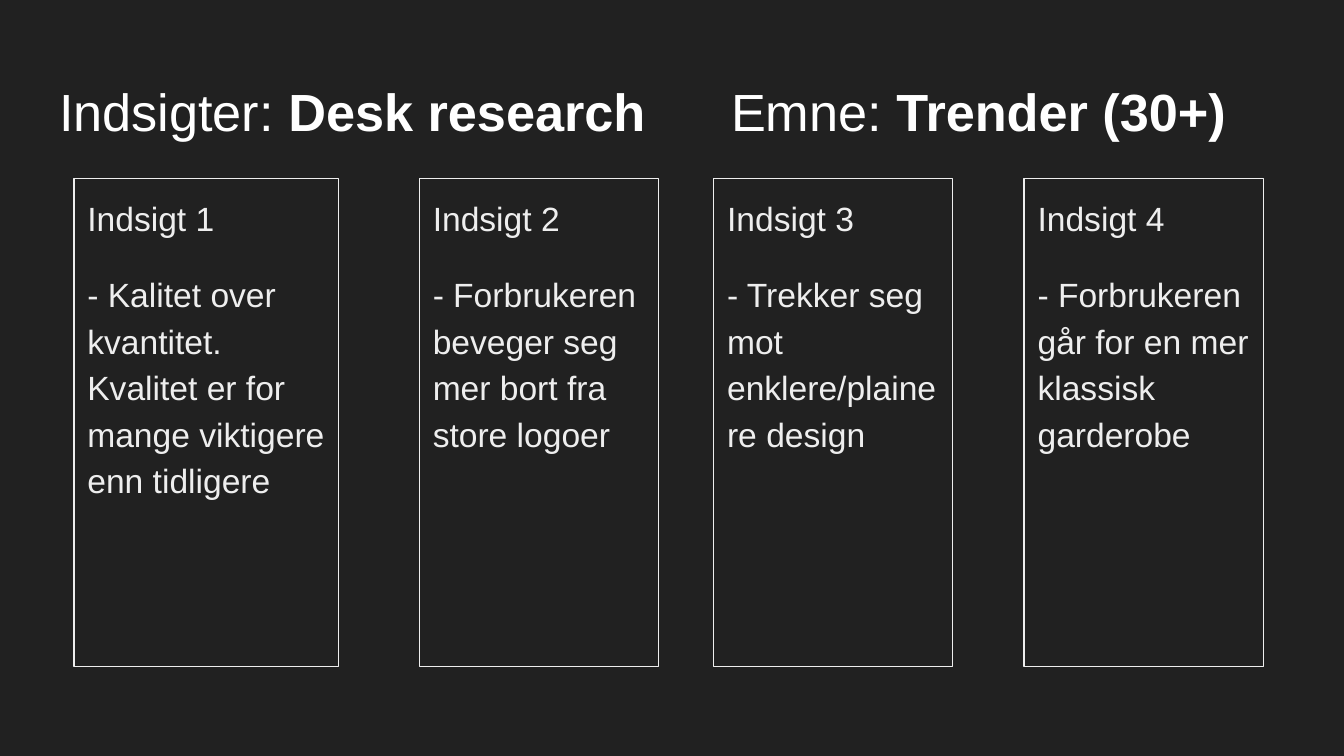
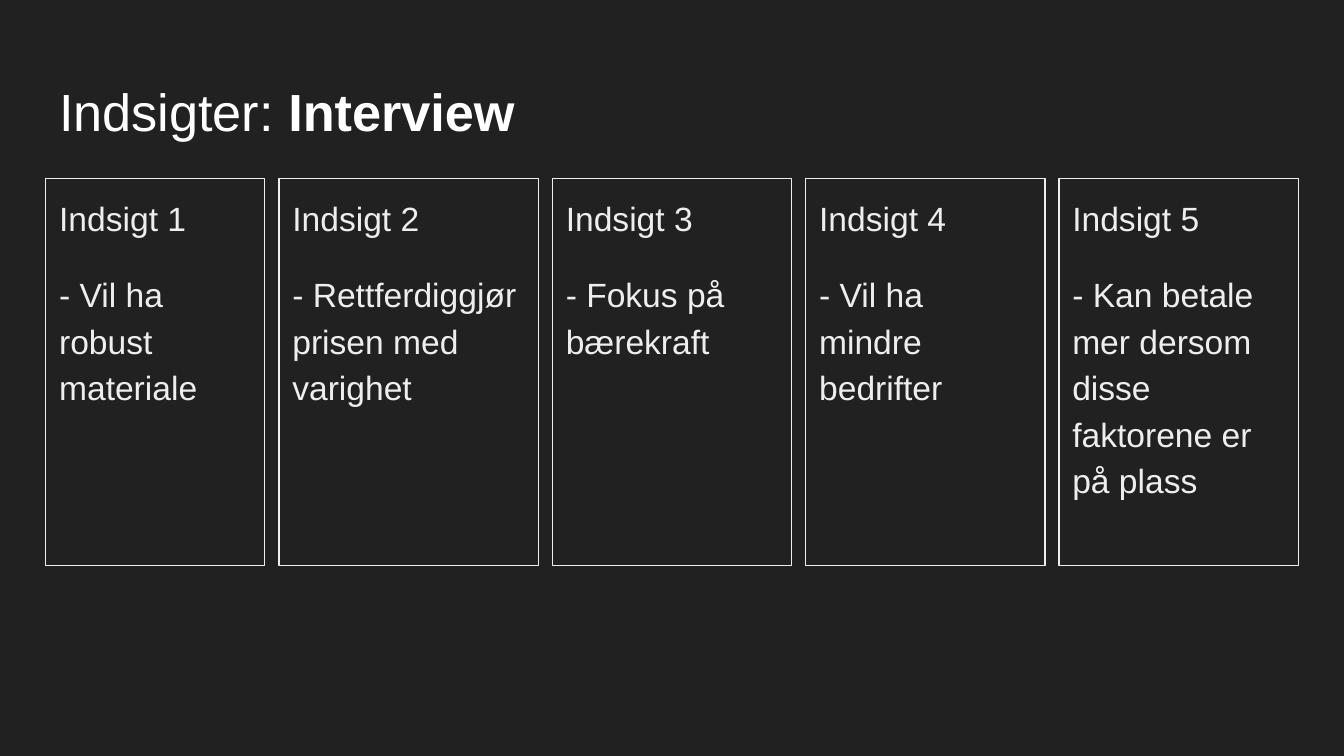
import pptx
import pptx.dml.color
import pptx.enum.text
import pptx.oxml.ns
import pptx.util
from lxml import etree

Inches, Pt = pptx.util.Inches, pptx.util.Pt

COLORS = {"background": "212121", "title": "FFFFFF", "body": "EEEEEE"}
FONT = "Arial"
SLIDE_WIDTH = 10
SLIDE_HEIGHT = SLIDE_WIDTH * 9 / 16
MARGIN, CONTENT_WIDTH = 0.34, 9.32
TITLE_TOP, TITLE_HEIGHT, TITLE_TAB = 0.49, 0.63, 5
CARD_TOP = 1.33
COMPARISON_LAYOUT = 4  # title and four body placeholders

TITLE_FONT = {"name": FONT, "size": Pt(28)}
CARD_FONT = {"name": FONT, "size": Pt(18), "bold": False}
FRAME_FORMAT = {
    "word_wrap": True,
    "auto_size": pptx.enum.text.MSO_AUTO_SIZE.NONE,
    "vertical_anchor": pptx.enum.text.MSO_ANCHOR.TOP,
    "margin_left": Inches(0.1),
    "margin_right": Inches(0.1),
    "margin_top": Inches(0.1),
    "margin_bottom": Inches(0.1),
}
CARD_SPACING = {"line_spacing": 1.15, "space_before": Pt(0), "space_after": Pt(16)}
LEFT_ALIGNED = {"alignment": pptx.enum.text.PP_ALIGN.LEFT}

# Title parts are (text, bold); cards without "lefts" are spread evenly.
SLIDES = [
    {
        "title": [("Indsigter:", False), (" Desk research\t", True),
                  ("Emne:", False), (" Trender (30+)", True)],
        "insights": [
            "Kalitet over kvantitet. Kvalitet er for mange viktigere enn tidligere",
            "Forbrukeren beveger seg mer bort fra store logoer",
            "Trekker seg mot enklere/plainere design",
            "Forbrukeren går for en mer klassisk garderobe",
        ],
        "lefts": [0.55, 3.12, 5.31, 7.62],
        "widths": [1.97, 1.78, 1.78, 1.78],
        "height": 3.63,
    },
    {
        "title": [("Indsigter:", False), (" Interview", True)],
        "insights": [
            "Vil ha robust materiale",
            "Rettferdiggjør prisen med varighet",
            "Fokus på bærekraft",
            "Vil ha mindre bedrifter",
            "Kan betale mer dersom disse faktorene er på plass",
        ],
        "widths": [1.63, 1.93, 1.78, 1.78, 1.78],
        "height": 2.88,
    },
]


def rgb(role):
    """Return the colour that has the given role."""
    return pptx.dml.color.RGBColor.from_string(COLORS[role])


def apply(target, values):
    """Set every attribute in values on the target."""
    for attribute, value in values.items():
        setattr(target, attribute, value)


def place(shape, left, top, width, height):
    """Move and size a shape, in inches."""
    apply(shape, {"left": Inches(left), "top": Inches(top),
                  "width": Inches(width), "height": Inches(height)})


def spread(widths):
    """Return left edges that fill the content width with equal gaps."""
    gap = (CONTENT_WIDTH - sum(widths)) / (len(widths) - 1)
    return [MARGIN + sum(widths[:i]) + gap * i for i in range(len(widths))]


def add_run(paragraph, text, font_format, role):
    """Add a formatted run to a paragraph."""
    run = paragraph.add_run()
    run.text = text
    apply(run.font, font_format)
    run.font.color.rgb = rgb(role)


def fill_title(title, parts):
    """Write the title with a tab stop for its second topic."""
    place(title, MARGIN, TITLE_TOP, CONTENT_WIDTH, TITLE_HEIGHT)
    apply(title.text_frame, FRAME_FORMAT)
    paragraph = title.text_frame.paragraphs[0]
    apply(paragraph, LEFT_ALIGNED)
    properties = paragraph._p.get_or_add_pPr()
    tabs = etree.SubElement(properties, pptx.oxml.ns.qn("a:tabLst"))
    etree.SubElement(tabs, pptx.oxml.ns.qn("a:tab"),
                     pos=str(Inches(TITLE_TAB)), algn="l")
    for text, bold in parts:
        add_run(paragraph, text, {**TITLE_FONT, "bold": bold}, "title")


def fill_card(card, number, insight):
    """Outline a card and write its heading and insight."""
    card.line.color.rgb = rgb("body")
    card.line.width = Pt(0.75)
    frame = card.text_frame
    apply(frame, FRAME_FORMAT)
    paragraphs = [frame.paragraphs[0], frame.add_paragraph()]
    for paragraph, text in zip(paragraphs, [f"Indsigt {number}", f"- {insight}"]):
        apply(paragraph, {**LEFT_ALIGNED, **CARD_SPACING})
        properties = paragraph._p.get_or_add_pPr()
        properties.set("marL", "0")
        properties.set("indent", "0")
        etree.SubElement(properties, pptx.oxml.ns.qn("a:buNone"))
        add_run(paragraph, text, CARD_FONT, "body")


def build_slide(deck, content):
    """Add one slide with a title and a row of insight cards."""
    slide = deck.slides.add_slide(deck.slide_layouts[COMPARISON_LAYOUT])
    fill_title(slide.shapes.title, content["title"])
    cards = [shape for shape in slide.placeholders
             if shape.placeholder_format.idx > 0]
    while len(cards) < len(content["insights"]):
        cards.append(slide.shapes.add_textbox(0, 0, 0, 0))
    widths = content["widths"]
    lefts = content.get("lefts") or spread(widths)
    rows = zip(cards, lefts, widths, content["insights"])
    for number, (card, left, width, insight) in enumerate(rows, start=1):
        place(card, left, CARD_TOP, width, content["height"])
        fill_card(card, number, insight)


deck = pptx.Presentation()
deck.slide_width, deck.slide_height = Inches(SLIDE_WIDTH), Inches(SLIDE_HEIGHT)
background = deck.slide_master.background.fill
background.solid()
background.fore_color.rgb = rgb("background")
for content in SLIDES:
    build_slide(deck, content)
deck.save("out.pptx")
